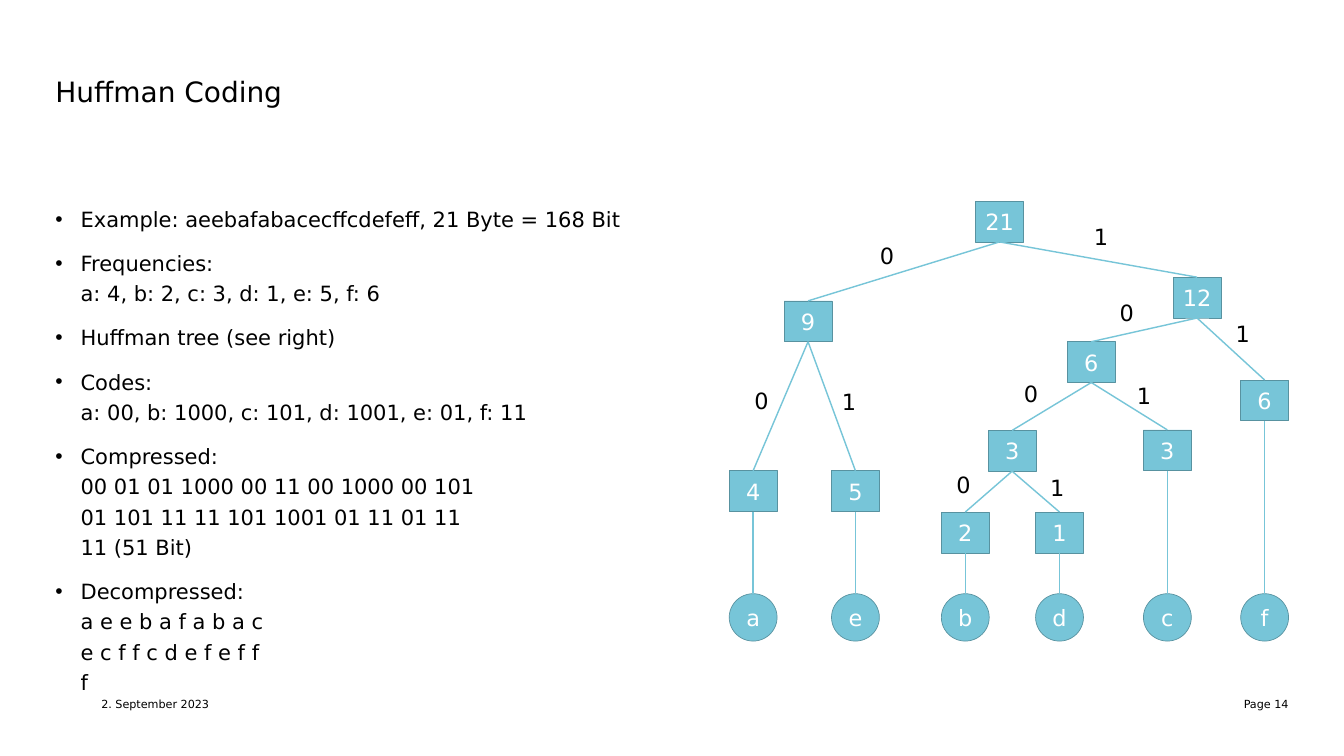
from lxml import etree
from pptx import Presentation
from pptx import util as u
from pptx.dml.color import RGBColor
from pptx.enum import shapes, text
from pptx.oxml.ns import qn

COLOURS = {"text": "000000", "node": "77C5D8", "outline": "5892A0", "node_text": "FFFFFF"}
FONT = "DejaVu Sans"
NODE_W, NODE_H, LEAF_H, LEAF_TOP = 0.95, 0.81, 0.94, 7.79
LABEL_W, LABEL_H = 0.43, 0.64

BULLETS = [
    "Example: aeebafabacecffcdefeff, 21 Byte = 168 Bit",
    "Frequencies:\na: 4, b: 2, c: 3, d: 1, e: 5, f: 6",
    "Huffman tree (see right)",
    "Codes:\na: 00, b: 1000, c: 101, d: 1001, e: 01, f: 11",
    "Compressed:\n00 01 01 1000 00 11 00 1000 00 101\n"
    "01 101 11 11 101 1001 01 11 01 11\n11 (51 Bit)",
    "Decompressed:\na e e b a f a b a c\ne c f f c d e f e f f\nf",
]

# Code of each tree node: frequency, left, top (relative to the tree)
NODES = {
    "": (21, 4.89, 0),
    "0": (9, 1.09, 1.98),
    "1": (12, 8.81, 1.51),
    "00": (4, 0, 5.35),
    "01": (5, 2.03, 5.35),
    "10": (6, 6.71, 2.79),
    "11": (6, 10.15, 3.55),
    "100": (3, 5.14, 4.55),
    "101": (3, 8.22, 4.54),
    "1000": (2, 4.21, 6.17),
    "1001": (1, 6.08, 6.17),
}
LETTERS = {"00": "a", "01": "e", "1000": "b", "1001": "d", "101": "c", "11": "f"}

# Left and top of the bit beside the branch that leads to each code
BIT_PLACES = {
    "0": (2.89, 0.76), "1": (7.14, 0.38),
    "00": (0.4, 3.64), "01": (2.14, 3.66),
    "10": (7.65, 1.89), "11": (9.95, 2.32),
    "100": (5.75, 3.51), "101": (7.99, 3.54),
    "1000": (4.41, 5.3), "1001": (6.27, 5.36),
}


def rgb(name):
    return RGBColor.from_string(COLOURS[name])


def inches(*lengths):
    return [u.Inches(length) for length in lengths]


def write(paragraph, words, size, colour="text", **formats):
    paragraph.text = words
    for name, value in formats.items():
        setattr(paragraph, name, value)
    for run in paragraph.runs:
        for name, value in {"name": FONT, "size": u.Pt(size)}.items():
            setattr(run.font, name, value)
        run.font.color.rgb = rgb(colour)


def add_frame(slide, box, **formats):
    frame = slide.shapes.add_textbox(*inches(*box)).text_frame
    settings = {"word_wrap": True, "margin_left": 0, "margin_top": 0,
                "margin_right": 0, "margin_bottom": 0, **formats}
    for name, value in settings.items():
        setattr(frame, name, value)
    return frame


def add_title(slide, box):
    frame = add_frame(slide, box, vertical_anchor=text.MSO_ANCHOR.BOTTOM)
    write(frame.paragraphs[0], "Huffman Coding", 40, line_spacing=1.1)


def add_bullets(slide, box):
    frame = add_frame(slide, box)
    for index, words in enumerate(BULLETS):
        paragraph = frame.add_paragraph() if index else frame.paragraphs[0]
        write(paragraph, words, 30, line_spacing=1.2, space_before=u.Pt(20))
        properties = paragraph._p.get_or_add_pPr()
        properties.set("marL", str(u.Inches(0.5)))
        properties.set("indent", str(u.Inches(-0.5)))
        etree.SubElement(properties, qn("a:buFont")).set("typeface", "Arial")
        etree.SubElement(properties, qn("a:buChar")).set("char", "•")


def add_footer(slide, box):
    left, top, width, height = box
    part_width = 3.34
    parts = [("2. September 2023", left, text.PP_ALIGN.LEFT),
             ("Page 14", left + width - part_width, text.PP_ALIGN.RIGHT)]
    for words, x, alignment in parts:
        frame = add_frame(slide, (x, top, part_width, height),
                          vertical_anchor=text.MSO_ANCHOR.MIDDLE)
        write(frame.paragraphs[0], words, 16, alignment=alignment)


def add_node(slide, kind, words, box):
    node = slide.shapes.add_shape(kind, *inches(*box))
    node.shadow.inherit = False
    node.fill.solid()
    node.fill.fore_color.rgb = rgb("node")
    node.line.color.rgb = rgb("outline")
    node.line.width = u.Pt(1)
    node.text_frame.vertical_anchor = text.MSO_ANCHOR.MIDDLE
    write(node.text_frame.paragraphs[0], words, 32, "node_text",
          alignment=text.PP_ALIGN.CENTER)
    return node


def add_branch(slide, parent, child):
    branch = slide.shapes.add_connector(shapes.MSO_CONNECTOR.STRAIGHT, 0, 0, 0, 0)
    branch.begin_connect(parent, 2)
    branch.end_connect(child, 0)
    branch.line.color.rgb = rgb("node")
    branch.line.width = u.Pt(2)
    etree.SubElement(branch._element.spPr, qn("a:effectLst"))


def add_tree(slide, box):
    left, top = box[:2]
    # Frequencies and, below them, letters
    nodes = {
        code: add_node(slide, shapes.MSO_SHAPE.RECTANGLE, str(frequency),
                       (left + x, top + y, NODE_W, NODE_H))
        for code, (frequency, x, y) in NODES.items()
    }
    leaves = {
        code: add_node(slide, shapes.MSO_SHAPE.OVAL, letter,
                       (left + NODES[code][1], top + LEAF_TOP, NODE_W, LEAF_H))
        for code, letter in LETTERS.items()
    }
    # Branches: the parent's code lacks the last bit
    for code, node in nodes.items():
        if code:
            add_branch(slide, nodes[code[:-1]], node)
    for code, leaf in leaves.items():
        add_branch(slide, nodes[code], leaf)
    # Bits
    for code, (x, y) in BIT_PLACES.items():
        frame = add_frame(slide, (left + x, top + y, LABEL_W, LABEL_H),
                          word_wrap=False, auto_size=text.MSO_AUTO_SIZE.SHAPE_TO_FIT_TEXT,
                          margin_left=u.Inches(0.1), margin_right=u.Inches(0.1),
                          margin_top=u.Inches(0.05), margin_bottom=u.Inches(0.05))
        write(frame.paragraphs[0], code[-1], 32)


def main():
    deck = Presentation()
    deck.slide_width, deck.slide_height = inches(26.67, 15)
    slide = deck.slides.add_slide(deck.slide_layouts[6])
    add_title(slide, (1.1, 1.49, 24.48, 0.65))
    add_bullets(slide, (1.1, 3.99, 12.16, 9.52))
    add_tree(slide, (14.47, 3.99, 11.1, 8.73))
    add_footer(slide, (2.01, 13.87, 23.56, 0.2))
    deck.save("out.pptx")


if __name__ == "__main__":
    main()
